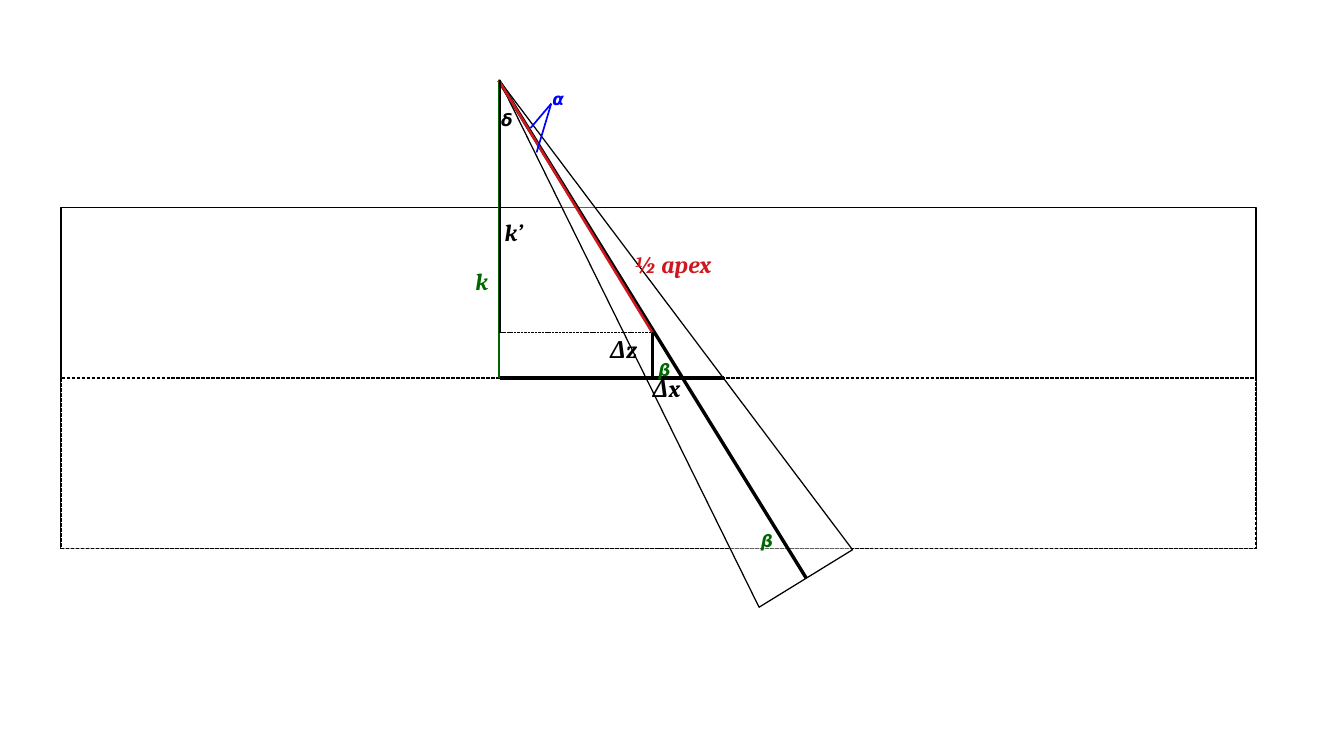
from dataclasses import dataclass

from lxml.etree import SubElement
from pptx import Presentation
from pptx.dml.color import RGBColor
from pptx.enum.dml import MSO_LINE
from pptx.enum.shapes import MSO_CONNECTOR, MSO_SHAPE
from pptx.oxml.ns import qn
from pptx.util import Emu, Pt

PX = 9144  # 100 px to the inch


@dataclass(frozen=True)
class Theme:
    black: str = "000000"
    white: str = "FFFFFF"
    green: str = "006600"
    blue: str = "0000FF"
    red: str = "CE181E"
    side_font: str = "Cambria"
    angle_font: str = "DejaVu Sans"
    side_size: int = 14
    angle_size: int = 10
    hair: float = 0
    thin: float = 0.5
    pointer: float = 1
    bold: float = 1.5


T = Theme()


def px(*lengths):
    return [Emu(n * PX) for n in lengths]


def style_line(line, color, width, dashed=False):
    line.color.rgb = RGBColor.from_string(color)
    line.width = Pt(width)
    if dashed:
        line.dash_style = MSO_LINE.SQUARE_DOT


def add_outline(s, kind, box, dashed=False):
    sp = s.shapes.add_shape(kind, *px(*box))
    sp.shadow.inherit = False
    sp.fill.solid()
    sp.fill.fore_color.rgb = RGBColor.from_string(T.white)
    style_line(sp.line, T.black, T.hair, dashed)
    return sp


def add_line(s, start, end, color, width, dashed=False):
    cxn = s.shapes.add_connector(MSO_CONNECTOR.STRAIGHT, *px(*start, *end))
    style_line(cxn.line, color, width, dashed)
    SubElement(cxn._element.spPr, qn("a:effectLst"))


def add_label(s, box, text, color, font, size):
    tf = s.shapes.add_textbox(*px(*box)).text_frame
    tf.word_wrap = True
    p = tf.paragraphs[0]
    p.text = text
    p.font.name, p.font.size = font, Pt(size)
    p.font.bold = p.font.italic = True
    p.font.color.rgb = RGBColor.from_string(color)


def draw_slab(s, box):
    """Whole slab, with its lower half dashed."""
    x, y, w, h = box
    add_outline(s, MSO_SHAPE.RECTANGLE, box)
    add_outline(s, MSO_SHAPE.RECTANGLE, (x, y + h // 2, w, h // 2), dashed=True)


def draw_cone(s, box):
    """Tilted, see-through cone."""
    cone = add_outline(s, MSO_SHAPE.ISOSCELES_TRIANGLE, box)
    cone.rotation = 328.4
    color = cone.fill._xPr.find(qn("a:solidFill"))[0]
    SubElement(color, qn("a:alpha"), val="38000")


def draw_construction(s, box):
    """Lines and labels; the box runs from the apex to the end of the axis."""
    x, y, w, h = box
    mid_x, mid_y, base_y = x + w // 2, y + 207, y + 244
    apex, mid, foot = (x, y), (mid_x, mid_y), (mid_x, base_y)
    inner = x + 1  # k’ stands just right of k
    alpha = (x + 43, y + 19)

    # Lines
    for start, end, color, width, dashed in [
        (apex, (x + w, y + h), T.black, T.hair, False),
        (apex, (x, base_y), T.green, T.bold, False),
        ((inner, base_y), (x + 185, base_y), T.black, T.hair, False),
        (apex, mid, T.red, T.bold, False),
        (alpha, (x + 26, y + 39), T.blue, T.pointer, False),
        (alpha, (x + 31, y + 59), T.blue, T.pointer, False),
        (mid, foot, T.black, T.bold, False),
        ((inner, mid_y), mid, T.black, T.thin, True),
        ((inner, y), (inner, mid_y), T.black, T.bold, False),
        (foot, (mid_x + 24, base_y), T.black, T.bold, False),
    ]:
        add_line(s, start, end, color, width, dashed)

    # Angle labels
    for dx, dy, text, color in [
        (34, 2, "α", T.blue),
        (-8, 19, "δ", T.black),
        (205, 364, "β", T.green),
        (121, 224, "β", T.green),
    ]:
        add_label(s, (x + dx, y + dy, 29, 26), text, color, T.angle_font, T.angle_size)

    # Side labels
    for dx, dy, width, text, color in [
        (-29, 148, 30, "k", T.green),
        (101, 134, 100, "½ apex", T.red),
        (-5, 108, 50, "k’", T.black),
        (81, 204, 50, "Δz", T.black),
        (116, 236, 50, "Δx", T.black),
    ]:
        add_label(s, (x + dx, y + dy, width, 38), text, color, T.side_font, T.side_size)


def main():
    prs = Presentation()
    prs.slide_width, prs.slide_height = px(1102, 620)
    s = prs.slides.add_slide(prs.slide_layouts[6])
    draw_slab(s, (50, 170, 980, 280))
    draw_cone(s, (490, 30, 90, 480))
    draw_construction(s, (409, 66, 252, 408))
    prs.save("out.pptx")


if __name__ == "__main__":
    main()
